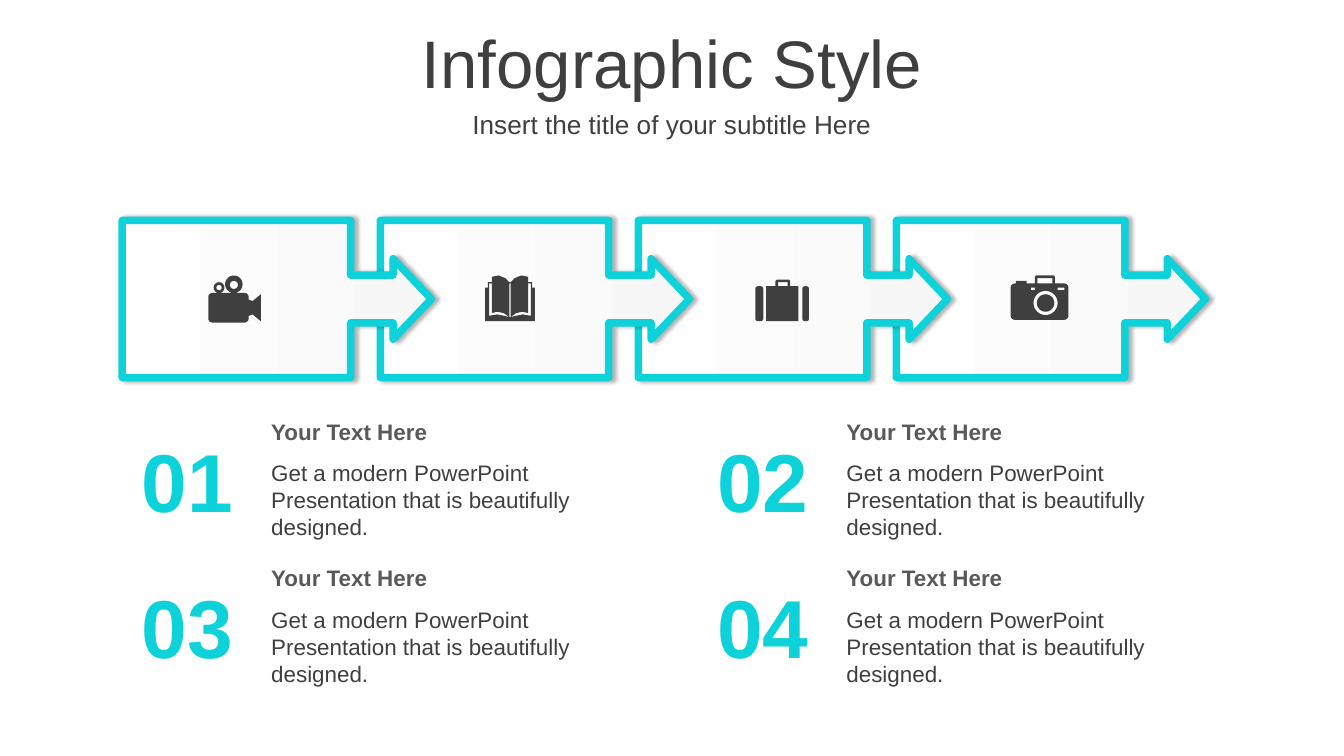
from dataclasses import dataclass
from math import cos, pi, sin

from lxml import etree
from pptx import Presentation
from pptx.dml.color import RGBColor
from pptx.enum.shapes import MSO_SHAPE
from pptx.enum.text import MSO_ANCHOR, MSO_AUTO_SIZE, PP_ALIGN
from pptx.oxml.ns import qn
from pptx.util import Inches, Pt

CALLOUT = MSO_SHAPE.RIGHT_ARROW_CALLOUT
MIDDLE, TOP = MSO_ANCHOR.MIDDLE, MSO_ANCHOR.TOP
CENTER, LEFT = PP_ALIGN.CENTER, PP_ALIGN.LEFT
NO_FIT = MSO_AUTO_SIZE.NONE

CYAN = RGBColor(0x0D, 0xD2, 0xD9)
DARK = RGBColor(0x3F, 0x3F, 0x3F)
GRAY = RGBColor(0x59, 0x59, 0x59)
PALE = RGBColor(0xF7, 0xF7, 0xF7)
WHITE = RGBColor(0xFF, 0xFF, 0xFF)
FONT = "Arial"
BODY = "Get a modern PowerPoint Presentation that is beautifully designed."

Contour = list[tuple[float, float]]


@dataclass
class Style:
    size: int
    color: RGBColor = DARK
    bold: bool = False
    align: PP_ALIGN = LEFT
    anchor: MSO_ANCHOR = TOP


@dataclass
class Item:
    number: str
    col: int
    row: int


TITLE = Style(36, align=CENTER, anchor=MIDDLE)
SUBTITLE = Style(14, align=CENTER, anchor=MIDDLE)
NUMBER = Style(44, CYAN, True, CENTER)
HEADING = Style(12, GRAY, True)
DETAIL = Style(12)

ITEMS = [Item("01", 0, 0), Item("02", 1, 0), Item("03", 0, 1), Item("04", 1, 1)]


def write(sp, text: str, style: Style) -> None:
    tf = sp.text_frame
    tf.word_wrap = True
    tf.auto_size = NO_FIT
    tf.vertical_anchor = style.anchor
    tf.text = text
    p = tf.paragraphs[0]
    p.alignment = style.align
    font = p.runs[0].font
    font.name, font.size, font.bold = FONT, Pt(style.size), style.bold
    font.color.rgb = style.color


def add_text(s, x: float, y: float, w: float, h: float, text: str, style: Style) -> None:
    sp = s.shapes.add_textbox(Inches(x), Inches(y), Inches(w), Inches(h))
    write(sp, text, style)


def add_callout(s, x: float) -> None:
    sp = s.shapes.add_shape(CALLOUT, Inches(x), Inches(1.64), Inches(2.3), Inches(1.17))
    for i, value in enumerate((0.303, 0.256, 0.243, 0.739)):
        sp.adjustments[i] = value
    sp.fill.gradient()
    sp.fill.gradient_angle = 180
    for stop, position, color in zip(sp.fill.gradient_stops, (0, 1), (PALE, WHITE)):
        stop.position = position
        stop.color.rgb = color
    sp.line.color.rgb = CYAN
    sp.line.width = Pt(4)
    spPr = sp._element.spPr
    etree.SubElement(spPr.find(qn("a:ln")), qn("a:round"))
    sp.shadow.inherit = False
    shadow = etree.SubElement(spPr.find(qn("a:effectLst")), qn("a:outerShdw"),
                              blurRad=str(Pt(2)), dist=str(Pt(2)), dir="0")
    color = etree.SubElement(shadow, qn("a:srgbClr"), val="000000")
    etree.SubElement(color, qn("a:alpha"), val="30000")


def rect(x: float, y: float, w: float, h: float) -> Contour:
    return [(x, y), (x + w, y), (x + w, y + h), (x, y + h)]


def arc(cx: float, cy: float, r: float, start: float, sweep: float, steps: int) -> Contour:
    angles = [start + sweep * i / steps for i in range(steps + 1)]
    return [(cx + r * cos(a), cy + r * sin(a)) for a in angles]


def circle(cx: float, cy: float, r: float) -> Contour:
    return arc(cx, cy, r, 0, 2 * pi, 32)


def rounded(x: float, y: float, w: float, h: float, r: float) -> Contour:
    centers = rect(x + r, y + r, w - 2 * r, h - 2 * r)
    return [pt for i, (cx, cy) in enumerate(centers)
            for pt in arc(cx, cy, r, pi + i * pi / 2, pi / 2, 5)]


def mirror(points: Contour, axis: float) -> Contour:
    return [(2 * axis - x, y) for x, y in reversed(points)]


def handle(x: float, y: float, w: float, h: float, t: float) -> Contour:
    half = [(x, y + h), (x, y + t / 2), (x + t / 2, y)]
    inner = [(x + w - t, y + h), (x + w - t, y + t), (x + t, y + t), (x + t, y + h)]
    return half + mirror(half, x + w / 2) + inner


def add_icon(s, contours: list[Contour]) -> None:
    scaled = [[(Inches(x), Inches(y)) for x, y in c] for c in contours]
    builder = s.shapes.build_freeform(*scaled[0][0])
    builder.add_line_segments(scaled[0][1:])
    for first, *rest in scaled[1:]:
        builder.move_to(*first)
        builder.add_line_segments(rest)
    sp = builder.convert_to_shape()
    sp.fill.solid()
    sp.fill.fore_color.rgb = DARK
    sp.line.fill.background()
    sp.shadow.inherit = False


SPINE = 3.795
COVER = [(3.79, 2.1), (3.76, 2.07), (3.71, 2.05), (3.66, 2.06), (3.66, 2.1),
         (3.63, 2.1), (3.63, 2.14), (3.61, 2.14), (3.61, 2.39)]
PAGE_EDGE = [(3.64, 2.11), (3.66, 2.11), (3.66, 2.33), (3.7, 2.32), (3.75, 2.33),
             (3.79, 2.36), (3.75, 2.35), (3.7, 2.34), (3.64, 2.35)]
LENS = [(1.85, 2.23), (1.88, 2.24), (1.94, 2.19), (1.94, 2.39), (1.88, 2.34), (1.85, 2.35)]

VIDEO = [rounded(1.55, 2.18, 0.3, 0.22, 0.03), LENS,
         circle(1.63, 2.14, 0.04), circle(1.63, 2.14, 0.02),
         circle(1.74, 2.115, 0.065), circle(1.74, 2.12, 0.03)]
BOOK = [COVER + mirror(COVER, SPINE), PAGE_EDGE, mirror(PAGE_EDGE, SPINE),
        rect(3.79, 2.11, 0.01, 0.25)]
SUITCASE = [rounded(5.62, 2.13, 0.06, 0.26, 0.02), rect(5.7, 2.13, 0.24, 0.26),
            rounded(5.97, 2.13, 0.05, 0.26, 0.02), handle(5.77, 2.08, 0.11, 0.05, 0.02)]
CAMERA = [rounded(7.52, 2.11, 0.43, 0.27, 0.03), rect(7.56, 2.09, 0.08, 0.02),
          handle(7.7, 2.05, 0.15, 0.06, 0.02),
          circle(7.78, 2.255, 0.09), circle(7.78, 2.255, 0.065),
          rect(7.67, 2.14, 0.03, 0.02), rect(7.87, 2.14, 0.05, 0.02)]


def main() -> None:
    prs = Presentation()
    prs.slide_width = Inches(10)
    prs.slide_height = prs.slide_width * 9 // 16
    s = prs.slides.add_slide(prs.slide_layouts[5])

    title = s.shapes.title
    title.left, title.top = Inches(0), Inches(0.14)
    title.width, title.height = Inches(10), Inches(0.63)
    write(title, "Infographic Style", TITLE)
    add_text(s, 0, 0.77, 10, 0.31, "Insert the title of your subtitle Here", SUBTITLE)

    for i in reversed(range(4)):
        add_callout(s, 0.91 + i * 1.92)

    for item in ITEMS:
        x, y = item.col * 4.28, item.row * 1.09
        add_text(s, 0.84 + x, 3.15 + y, 1.11, 0.84, item.number, NUMBER)
        add_text(s, 1.92 + x, 3.37 + y, 3.06, 0.71, BODY, DETAIL)
        add_text(s, 1.92 + x, 3.06 + y, 3.03, 0.3, "Your Text Here", HEADING)

    for icon in (VIDEO, BOOK, SUITCASE, CAMERA):
        add_icon(s, icon)

    prs.save("out.pptx")


if __name__ == "__main__":
    main()
